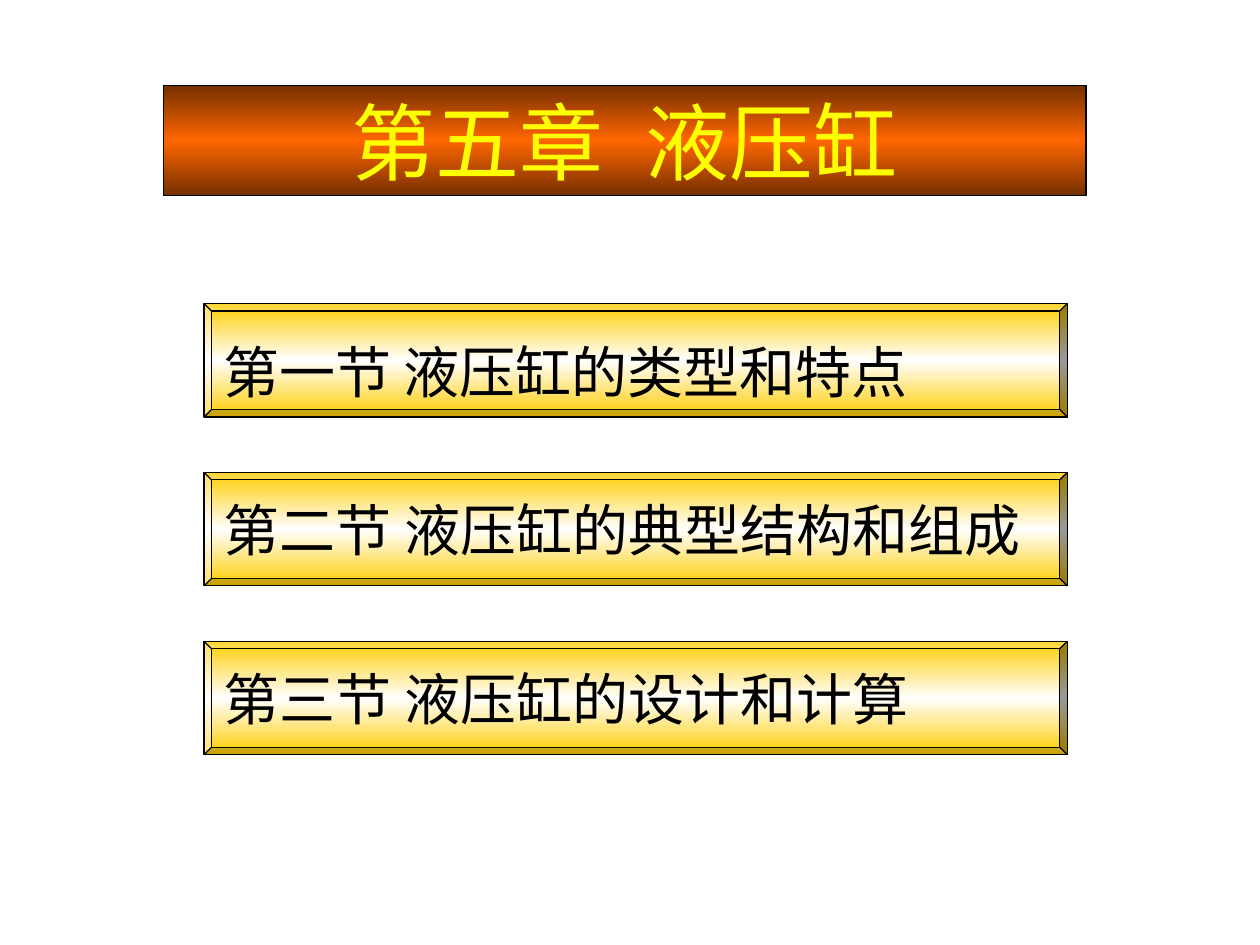
import copy

import pptx
import pptx.dml.color
import pptx.enum.shapes
import pptx.enum.text
import pptx.oxml
import pptx.oxml.ns
import pptx.util

RGBColor = pptx.dml.color.RGBColor
BLACK = RGBColor(0x00, 0x00, 0x00)
WHITE = RGBColor(0xFF, 0xFF, 0xFF)
YELLOW = RGBColor(0xFF, 0xFF, 0x00)
GOLD = RGBColor(0xFF, 0xCC, 0x00)
ORANGE = RGBColor(0xFF, 0x66, 0x00)
BROWN = RGBColor(0x76, 0x2F, 0x00)

HAN_FONT = "Noto Sans CJK SC"
LATIN_FONT = "Arial"

CHAPTER = [("第五章", 48, LATIN_FONT), (" ", 48, LATIN_FONT), ("液压缸", 48, LATIN_FONT)]
CHAPTER_GAP = 13.3
SECTIONS = [
    [("第一节", 32, HAN_FONT), (" ", 28, HAN_FONT),
     ("液压缸的类型和特点", 32, HAN_FONT), (" ", 48, LATIN_FONT)],
    [("第二节 液压缸的典型结构和组成", 32, HAN_FONT)],
    [("第三节 液压缸的设计和计算", 32, HAN_FONT)],
]

WIDTH, HEIGHT = 10, 7.5
BANNER = (1.3, 0.68, 7.32, 0.87)
SECTION_LEFT, SECTION_TOP, SECTION_WIDTH, SECTION_HEIGHT = 1.62, 2.41, 6.85, 0.9
SECTION_PITCH = 1.34
BEVEL = 0.065


def paint(shape, edge, middle):
    shape.fill.gradient()
    shape.fill.gradient_angle = 90
    stop_list = shape.fill.gradient_stops
    stops_xml = shape.element.spPr.find(".//" + pptx.oxml.ns.qn("a:gsLst"))
    stops_xml.append(copy.deepcopy(stops_xml[0]))
    stop_list = shape.fill.gradient_stops
    for stop, position, color in zip(stop_list, (0, 0.5, 1), (edge, middle, edge)):
        stop.position = position
        stop.color.rgb = color
    shape.line.color.rgb = BLACK
    shape.line.width = pptx.util.Pt(0.75)


def write(shape, runs, color, alignment):
    frame = shape.text_frame
    frame.word_wrap = True
    frame.auto_size = pptx.enum.text.MSO_AUTO_SIZE.NONE
    frame.vertical_anchor = pptx.enum.text.MSO_ANCHOR.MIDDLE
    paragraph = frame.paragraphs[0]
    paragraph.alignment = alignment
    for text, size, font in runs:
        run = paragraph.add_run()
        run.text = text
        run.font.size = pptx.util.Pt(size)
        run.font.name = font
        run.font.color.rgb = color
        east_asian = pptx.oxml.parse_xml(
            f'<a:ea {pptx.oxml.ns.nsdecls("a")} typeface="{HAN_FONT}"/>')
        run.font._element.find(pptx.oxml.ns.qn("a:latin")).addnext(east_asian)
    return paragraph


def add_banner(slide):
    banner = slide.shapes.title
    banner.left, banner.top, banner.width, banner.height = map(pptx.util.Inches, BANNER)
    rounded = pptx.oxml.parse_xml(
        f'<a:prstGeom {pptx.oxml.ns.nsdecls("a")} prst="roundRect"><a:avLst/></a:prstGeom>')
    banner.element.spPr.find(pptx.oxml.ns.qn("a:xfrm")).addnext(rounded)
    paint(banner, BROWN, ORANGE)
    heading = write(banner, CHAPTER, YELLOW, pptx.enum.text.PP_ALIGN.CENTER)
    heading.runs[1].font._element.set("spc", str(round(CHAPTER_GAP * 100)))


def add_section(slide, row, runs):
    place = (SECTION_LEFT, SECTION_TOP + row * SECTION_PITCH, SECTION_WIDTH, SECTION_HEIGHT)
    section = slide.shapes.add_shape(
        pptx.enum.shapes.MSO_SHAPE.BEVEL, *map(pptx.util.Inches, place))
    section.adjustments[0] = BEVEL
    section.shadow.inherit = False
    paint(section, GOLD, WHITE)
    write(section, runs, BLACK, pptx.enum.text.PP_ALIGN.LEFT)


def main():
    deck = pptx.Presentation()
    deck.slide_width = pptx.util.Inches(WIDTH)
    deck.slide_height = pptx.util.Inches(HEIGHT)
    slide = deck.slides.add_slide(deck.slide_layouts.get_by_name("Title Only"))
    add_banner(slide)
    for row, runs in enumerate(SECTIONS):
        add_section(slide, row, runs)
    deck.save("out.pptx")


if __name__ == "__main__":
    main()
